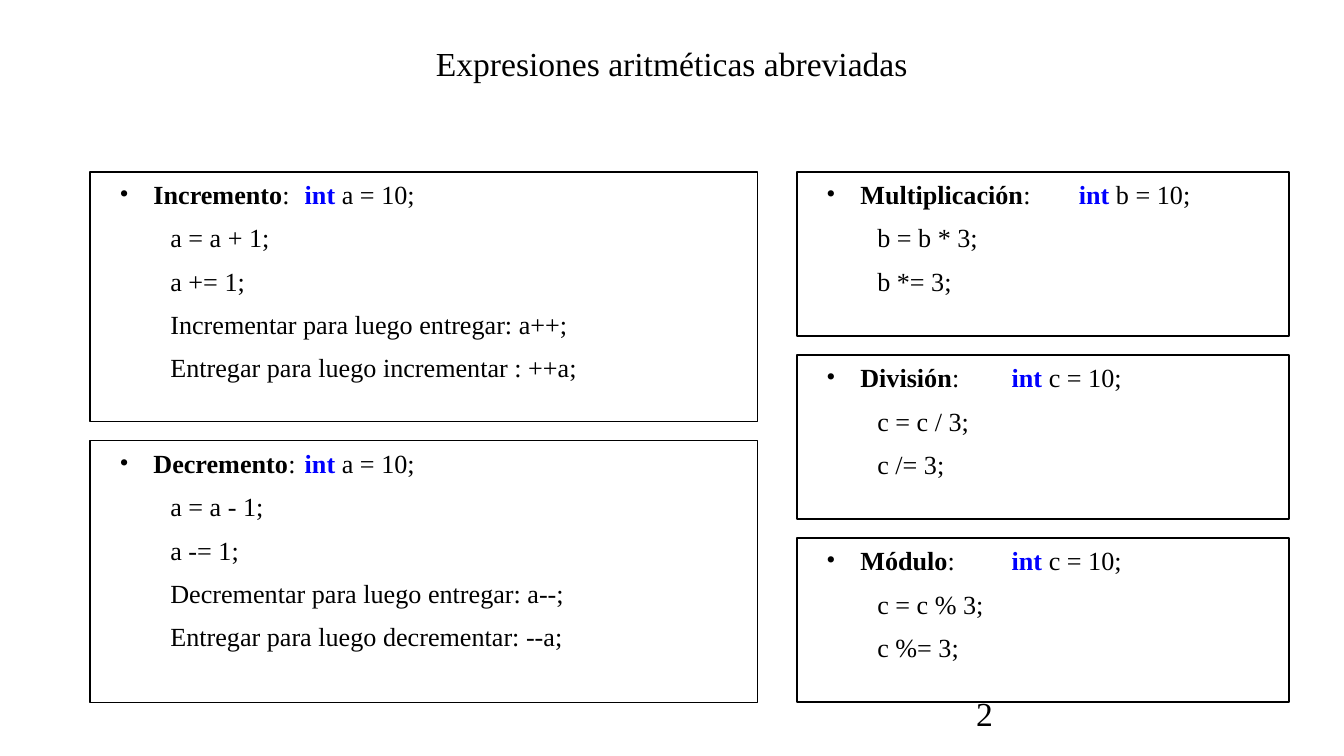
"""Build the slide on shorthand arithmetic expressions."""
from lxml.etree import SubElement
from pptx import Presentation
from pptx.dml.color import RGBColor
from pptx.enum.shapes import MSO_SHAPE
from pptx.enum.text import MSO_ANCHOR, MSO_AUTO_SIZE, PP_ALIGN
from pptx.oxml.ns import qn
from pptx.util import Cm, Pt

TITLE = "Expresiones aritméticas abreviadas"
PAGE_NUMBER = "2"
COLUMNS = [
    {"left": 1.7, "width": 12.62, "cards": [
        {"height": 4.72, "name": "Incremento", "value": "a = 10;", "lines": [
            "a = a + 1;", "a += 1;",
            "Incrementar para luego entregar: a++;",
            "Entregar para luego incrementar : ++a;"]},
        {"height": 4.95, "name": "Decremento", "value": "a = 10;", "lines": [
            "a = a - 1;", "a -= 1;",
            "Decrementar para luego entregar: a--;",
            "Entregar para luego decrementar: --a;"]},
    ]},
    {"left": 15.06, "width": 9.3, "cards": [
        {"height": 3.1, "name": "Multiplicación", "value": "b = 10;",
         "lines": ["b = b * 3;", "b *= 3;"]},
        {"height": 3.1, "name": "División", "value": "c = 10;",
         "lines": ["c = c / 3;", "c /= 3;"]},
        {"height": 3.1, "name": "Módulo", "value": "c = 10;",
         "lines": ["c = c % 3;", "c %= 3;"]},
    ]},
]
CARDS_TOP, CARD_GAP = 3.25, 0.36
THEME = {
    "font": "Times New Roman",
    "ink": RGBColor(0, 0, 0),
    "keyword": RGBColor(0, 0, 255),
    "heading": Pt(18),
    "body": Pt(14),
    "outline": Pt(0.75),
    "space": Pt(6.4),
}


def write(paragraph, text, size="body", color="ink", bold=False):
    run = paragraph.add_run()
    run.text = text
    run.font.name = THEME["font"]
    run.font.size = THEME[size]
    run.font.bold = bold
    run.font.color.rgb = THEME[color]


def indent(paragraph, margin, first=0, bullet=None):
    paragraph.alignment = PP_ALIGN.LEFT
    paragraph.space_before = THEME["space"]
    properties = paragraph._p.get_or_add_pPr()
    properties.set("marL", str(Cm(margin)))
    properties.set("indent", str(Cm(first)))
    if bullet:
        color = SubElement(properties, qn("a:buClr"))
        SubElement(color, qn("a:srgbClr"), val=str(THEME["ink"]))
        SubElement(properties, qn("a:buFont"), typeface=THEME["font"])
        SubElement(properties, qn("a:buChar"), char=bullet)


def add_card(slide, card, left, top, width):
    box = slide.shapes.add_shape(MSO_SHAPE.RECTANGLE, Cm(left), Cm(top),
                                 Cm(width), Cm(card["height"]))
    box.shadow.inherit = False
    box.fill.background()
    box.line.color.rgb = THEME["ink"]
    box.line.width = THEME["outline"]
    frame = box.text_frame
    frame.word_wrap = True
    frame.vertical_anchor = MSO_ANCHOR.TOP
    heading = frame.paragraphs[0]
    indent(heading, 0.95, first=-0.64, bullet="•")
    write(heading, card["name"], bold=True)
    write(heading, ":\t")
    write(heading, "int ", color="keyword", bold=True)
    write(heading, card["value"])
    for line in card["lines"]:
        paragraph = frame.add_paragraph()
        indent(paragraph, 1.27)
        write(paragraph, line)


def main():
    deck = Presentation()
    deck.slide_width, deck.slide_height = Cm(25.4), Cm(14.29)
    slide = deck.slides.add_slide(deck.slide_layouts[5])

    title = slide.shapes.title
    title.left, title.top = Cm(1.9), Cm(0)
    title.width, title.height = Cm(21.6), Cm(2.39)
    title.text_frame.auto_size = MSO_AUTO_SIZE.NONE
    title.text_frame.vertical_anchor = MSO_ANCHOR.MIDDLE
    title.text_frame.paragraphs[0].alignment = PP_ALIGN.CENTER
    write(title.text_frame.paragraphs[0], TITLE, size="heading")

    page = slide.shapes.add_textbox(Cm(18.2), Cm(13), Cm(5.29), Cm(0.97))
    page.text_frame.word_wrap = True
    page.text_frame.vertical_anchor = MSO_ANCHOR.MIDDLE
    write(page.text_frame.paragraphs[0], PAGE_NUMBER, size="heading")

    for column in COLUMNS:
        top = CARDS_TOP
        for card in column["cards"]:
            add_card(slide, card, column["left"], top, column["width"])
            top += card["height"] + CARD_GAP

    deck.save("out.pptx")


if __name__ == "__main__":
    main()
